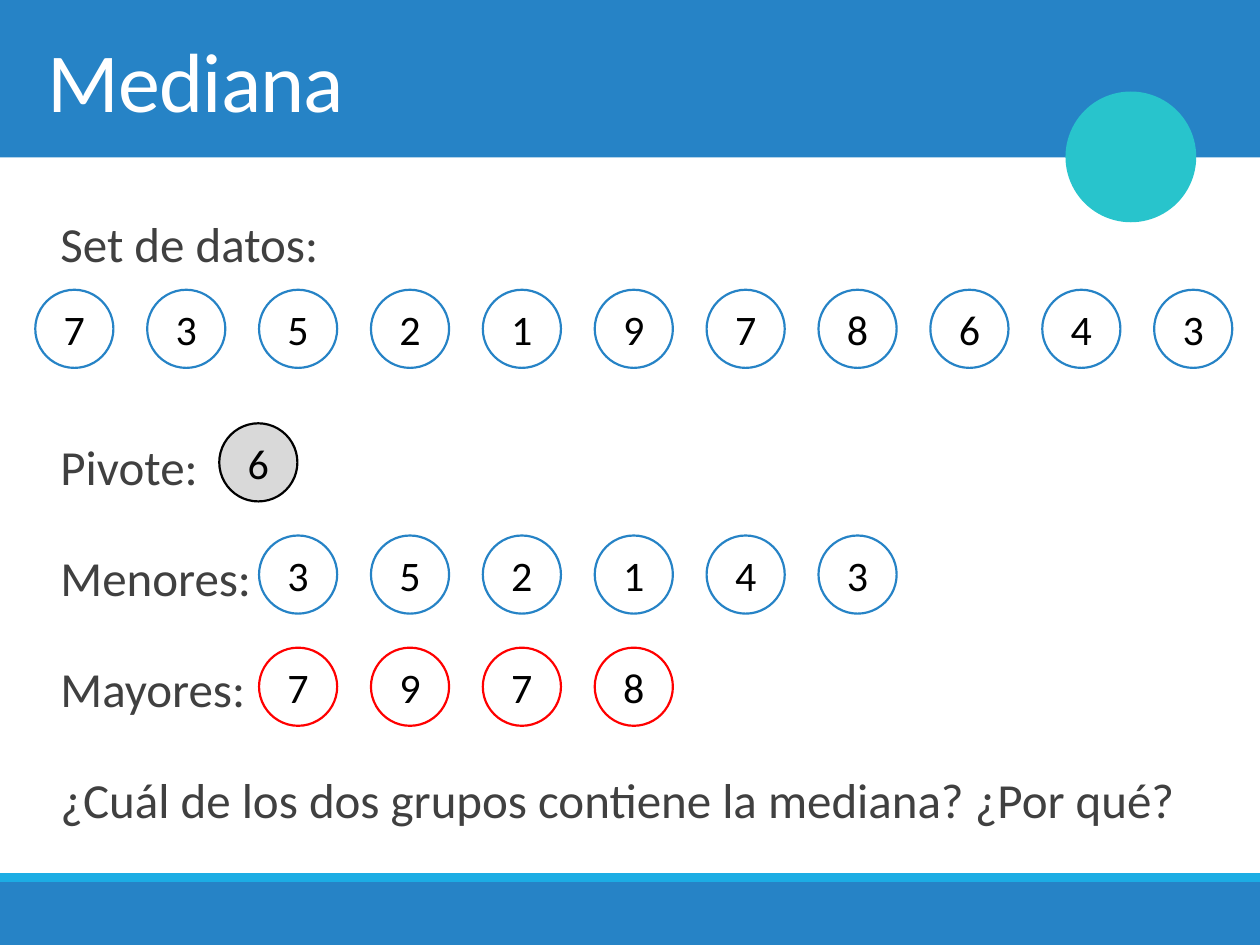
from pptx import Presentation
from pptx.dml.color import RGBColor
from pptx.enum.shapes import MSO_SHAPE
from pptx.enum.text import MSO_ANCHOR, MSO_AUTO_SIZE, PP_ALIGN
from pptx.oxml.ns import qn
from pptx.util import Inches, Pt
from lxml import etree

RECT, OVAL = MSO_SHAPE.RECTANGLE, MSO_SHAPE.OVAL
TOP, MIDDLE = MSO_ANCHOR.TOP, MSO_ANCHOR.MIDDLE
LEFT, CENTER = PP_ALIGN.LEFT, PP_ALIGN.CENTER
FIXED = MSO_AUTO_SIZE.NONE

BLUE, SKY, TEAL = "2683C6", "1CADE4", "28C4CC"
WHITE, BLACK, GREY, DARK, RED = "FFFFFF", "000000", "D9D9D9", "404040", "FF0000"

TITLE = "Mediana"
LINES = [
    ("Set de datos:", 11),
    ("Pivote:", 75),
    ("Menores:", 11),
    ("Mayores:", 11),
    ("¿Cuál de los dos grupos contiene la mediana? ¿Por qué?", 11),
]
BANDS = [
    (RECT, (0, 0, 10, 1.25), BLUE, None),
    (RECT, (0, 7, 10, 0.5), BLUE, None),
    (RECT, (0, 6.93, 10, 0.07), SKY, None),
    (OVAL, (8.47, 0.74, 1.01, 1.01), TEAL, TEAL),
]
EDGE, SIZE = 0.28, 0.62
STEP = (9.16 - EDGE) / 10
INDENT = EDGE + 2 * STEP
ROWS = [
    ("73521978643", EDGE, 2.3, WHITE, BLUE),
    ("6", 1.74, 3.36, GREY, BLACK),
    ("352143", INDENT, 4.25, WHITE, BLUE),
    ("7978", INDENT, 5.14, WHITE, RED),
]


def color(code):
    return RGBColor.from_string(code)


def place(shape, box):
    shape.left, shape.top, shape.width, shape.height = map(Inches, box)


def draw(kind, box, fill, line=None, width=2):
    shape = slide.shapes.add_shape(kind, *map(Inches, box))
    shape.shadow.inherit = False
    shape.fill.solid()
    shape.fill.fore_color.rgb = color(fill)
    if line:
        shape.line.color.rgb = color(line)
        shape.line.width = Pt(width)
    else:
        shape.line.fill.background()
    return shape


def write(para, text, size, ink, align=LEFT, spacing=None):
    para.alignment = align
    run = para.add_run()
    run.text = text
    run.font.name = "Calibri"
    run.font.size = Pt(size)
    run.font.color.rgb = color(ink)
    if spacing is not None:
        run.font._element.set("spc", str(spacing))


def setup(shape, anchor):
    frame = shape.text_frame
    frame.word_wrap = True
    frame.auto_size = FIXED
    frame.vertical_anchor = anchor
    return frame


deck = Presentation()
deck.slide_width, deck.slide_height = Inches(10), Inches(7.5)
slide = deck.slides.add_slide(deck.slide_layouts[1])
title, body = slide.placeholders
tree = slide.shapes._spTree

for band in BANDS:
    draw(*band)

place(title, (EDGE, 0, 9.45, 1.25))
write(setup(title, MIDDLE).paragraphs[0], TITLE, 48, WHITE, spacing=-50)
tree.append(title._element)

for digits, left, top, fill, line in ROWS:
    for i, digit in enumerate(digits):
        ball = draw(OVAL, (left + i * STEP, top, SIZE, SIZE), fill, line, 1.25)
        frame = setup(ball, MIDDLE)
        frame.margin_left = frame.margin_right = 0
        write(frame.paragraphs[0], digit, 24, BLACK, CENTER)

place(body, (EDGE, 1.41, 9.45, 5.36))
frame = setup(body, TOP)
for i, (text, before) in enumerate(LINES):
    para = frame.add_paragraph() if i else frame.paragraphs[0]
    para.line_spacing = 1.5
    para.space_before, para.space_after = Pt(before), Pt(2)
    props = para._p.get_or_add_pPr()
    props.set("marL", str(Inches(0.1)))
    props.set("indent", "0")
    etree.SubElement(props, qn("a:buNone"))
    write(para, text, 28, DARK)
tree.append(body._element)

deck.save("out.pptx")
